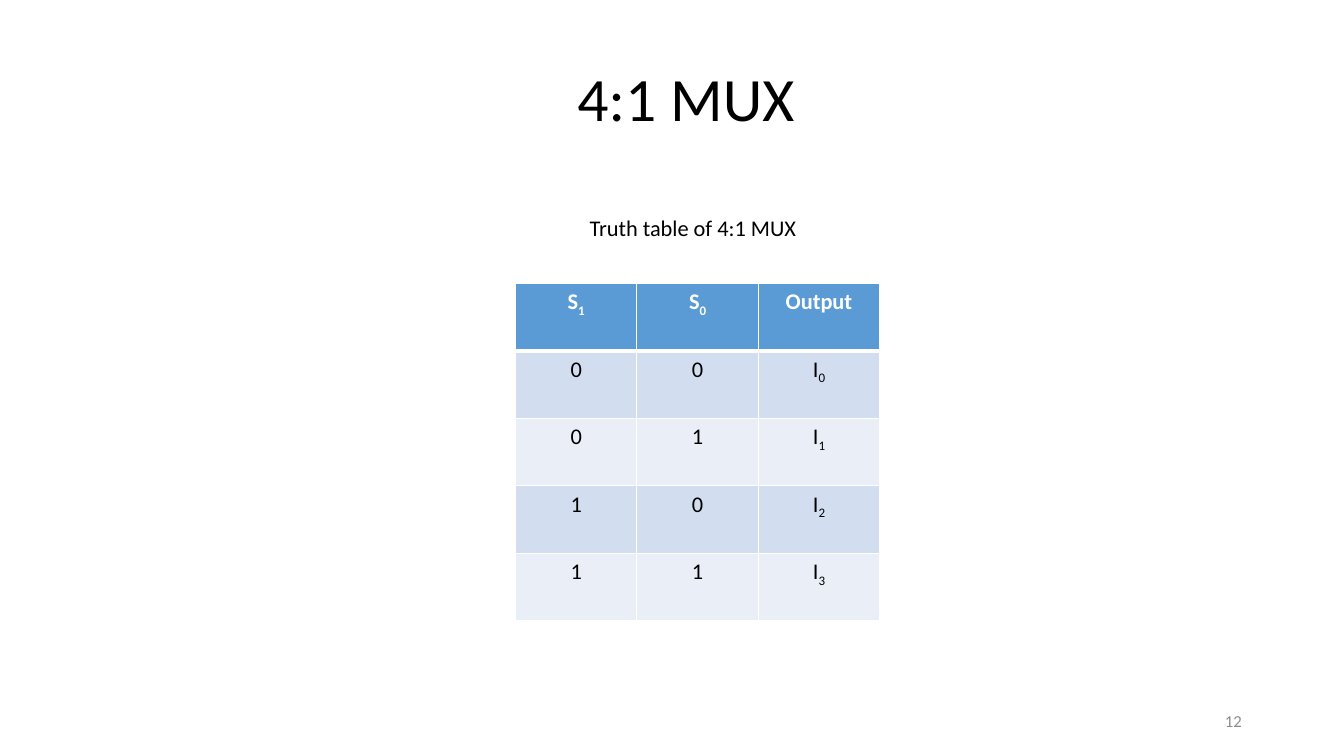
"""Build the 4:1 MUX truth table slide."""
from lxml.etree import SubElement
from pptx import Presentation
from pptx.dml.color import RGBColor
from pptx.enum.text import MSO_ANCHOR, PP_ALIGN
from pptx.oxml.ns import qn
from pptx.util import Cm, Pt

TITLE = "4:1 MUX"
LABEL = "Truth table of 4:1 MUX"
PAGE = "12"
ROWS = [
    [("S", "1"), ("S", "0"), ("Output",)],
    [("0",), ("0",), ("I", "0")],
    [("0",), ("1",), ("I", "1")],
    [("1",), ("0",), ("I", "2")],
    [("1",), ("1",), ("I", "3")],
]

FONT = "Calibri"
BLACK = RGBColor(0x00, 0x00, 0x00)
WHITE = RGBColor(0xFF, 0xFF, 0xFF)
GREY = RGBColor(0x8C, 0x8C, 0x8C)
BLUE = RGBColor(0x5B, 0x9B, 0xD5)
BANDS = [RGBColor(0xEA, 0xEF, 0xF7), RGBColor(0xD2, 0xDE, 0xEF)]
COL, ROW = 3.06, 1.7


def add_run(para, text, size, color, bold=False, sub=False):
    run = para.add_run()
    run.text = text
    font = run.font
    font.name, font.size, font.bold = FONT, Pt(size), bold
    font.color.rgb = color
    if sub:
        font._element.set("baseline", "-25000")


def add_text(slide, text, place, size, color, align, anchor, inset=0.25):
    frame = slide.shapes.add_textbox(*map(Cm, place)).text_frame
    frame.word_wrap = True
    frame.vertical_anchor = anchor
    frame.margin_left = Cm(inset)
    para = frame.paragraphs[0]
    para.alignment = align
    add_run(para, text, size, color)
    return para


def add_edge(props, side, width):
    line = SubElement(props, qn(f"a:ln{side}"), w=str(Pt(width)))
    fill = SubElement(line, qn("a:solidFill"))
    SubElement(fill, qn("a:srgbClr"), val=str(WHITE))


def fill_cell(cell, parts, row):
    head = row == 0
    props = cell._tc.get_or_add_tcPr()
    for side in "LRTB":
        thick = (row, side) in [(0, "B"), (1, "T")]
        add_edge(props, side, 3 if thick else 1)
    cell.fill.solid()
    cell.fill.fore_color.rgb = BLUE if head else BANDS[row % 2]
    para = cell.text_frame.paragraphs[0]
    para.alignment = PP_ALIGN.CENTER
    for i, part in enumerate(parts):
        add_run(para, part, 16, WHITE if head else BLACK, head, i > 0)


def add_grid(slide, left, top):
    wide, high = len(ROWS[0]), len(ROWS)
    table = slide.shapes.add_table(
        high, wide, Cm(left), Cm(top), Cm(COL * wide), Cm(ROW * high)).table
    for col in table.columns:
        col.width = Cm(COL)
    for r, row in enumerate(ROWS):
        table.rows[r].height = Cm(ROW)
        for c, parts in enumerate(row):
            fill_cell(table.cell(r, c), parts, r)


def main():
    deck = Presentation()
    deck.slide_width, deck.slide_height = Cm(33.87), Cm(19.05)
    slide = deck.slides.add_slide(deck.slide_layouts[6])
    title = add_text(slide, TITLE, (2.16, 1.42, 29.21, 2.29), 44, BLACK,
                     PP_ALIGN.CENTER, MSO_ANCHOR.MIDDLE, 1.3)
    title.line_spacing = 0.9
    add_text(slide, PAGE, (23.93, 17.65, 7.62, 1.02), 12, GREY,
             PP_ALIGN.RIGHT, MSO_ANCHOR.MIDDLE)
    add_grid(slide, 12.99, 7.14)
    add_text(slide, LABEL, (14.48, 5.28, 8.69, 0.94), 16, BLACK,
             PP_ALIGN.LEFT, MSO_ANCHOR.TOP, 0.38)
    deck.save("out.pptx")


if __name__ == "__main__":
    main()
